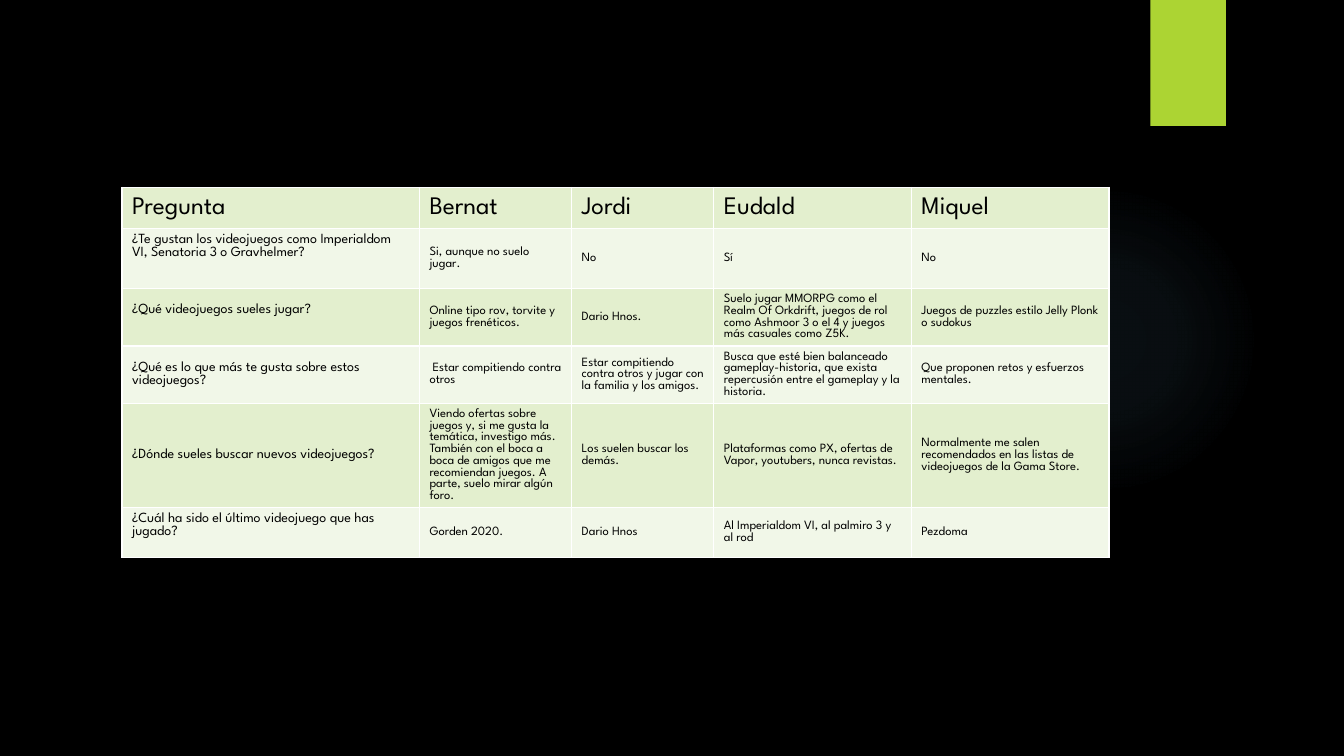
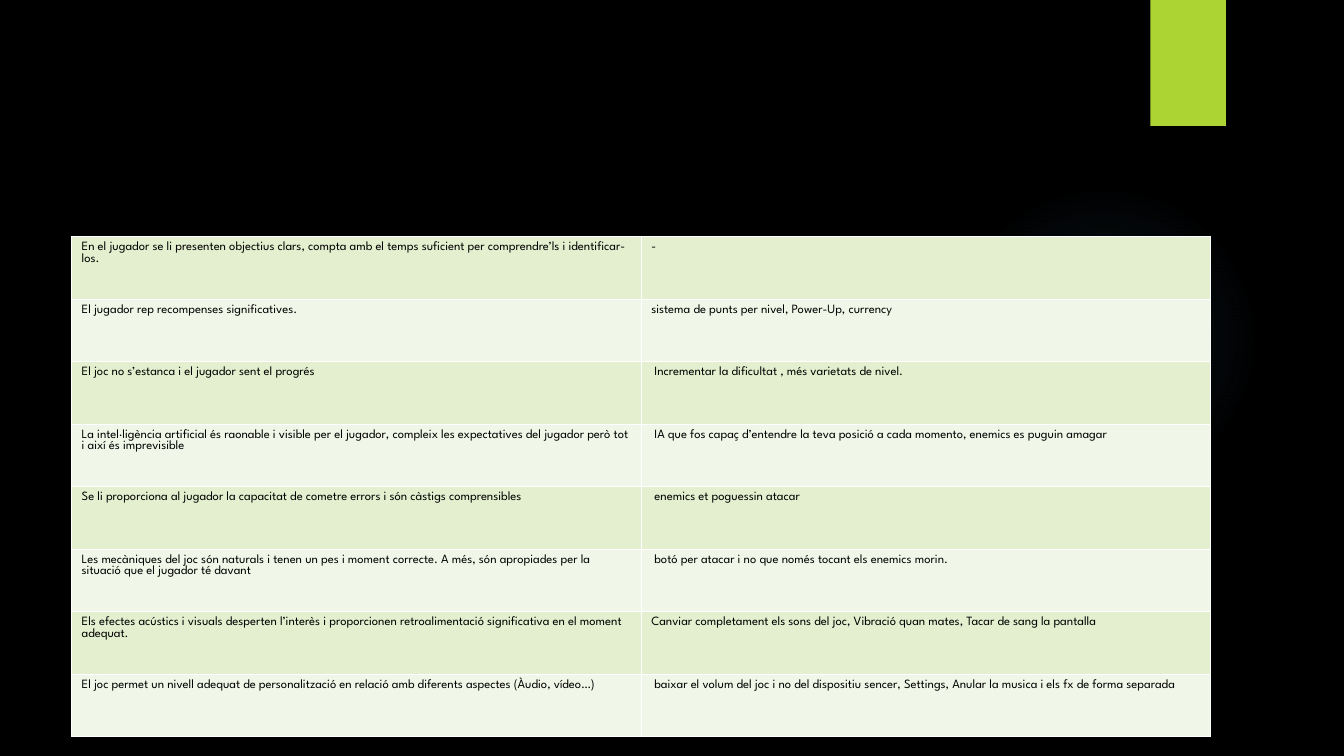
from dataclasses import dataclass

from lxml import etree
from pptx import Presentation
from pptx.dml.color import RGBColor
from pptx.enum.shapes import MSO_SHAPE
from pptx.enum.text import MSO_ANCHOR
from pptx.oxml import parse_xml
from pptx.oxml.ns import nsdecls
from pptx.presentation import Presentation as Deck
from pptx.shapes.autoshape import Shape
from pptx.slide import Slide
from pptx.table import _Cell
from pptx.util import Pt

RECT = MSO_SHAPE.RECTANGLE
OVAL = MSO_SHAPE.OVAL
TOP = MSO_ANCHOR.TOP
MIDDLE = MSO_ANCHOR.MIDDLE

SCALE = 9144
FONT = "League Spartan"
COLORS = {
    "back": "000000",
    "text": "000000",
    "tab": "ACD433",
    "glow": "7AC4F0",
    "dark": "E3EFCE",
    "light": "F1F7E8",
    "line": "FFFFFF",
}
STOPS = ((0, 7), (36, 6), (69, 0))
SIDES = ("lnL", "lnR", "lnT", "lnB")
PAD = 5


@dataclass(frozen=True)
class Box:
    left: int
    top: int
    width: int
    height: int


@dataclass(frozen=True)
class Style:
    size: int
    anchor: MSO_ANCHOR
    lift: int = 0


@dataclass(frozen=True)
class Row:
    height: int
    texts: tuple[str, ...]
    lead: Style
    rest: Style


@dataclass(frozen=True)
class Grid:
    left: int
    top: int
    widths: tuple[int, ...]
    rows: tuple[Row, ...]


GLOW = Box(941, 183, 308, 308)
TAB = Box(1141, 0, 75, 125)

HEAD = Style(18, MIDDLE)
REPLY = Style(9, MIDDLE)
NOTE = Style(9, TOP)


def ask(height: int, lift: int, *texts: str) -> Row:
    return Row(height, texts, Style(10, MIDDLE, lift), REPLY)


def pair(goal: str, idea: str) -> Row:
    return Row(62, (goal, idea), NOTE, NOTE)


SURVEY = Grid(121, 186, (295, 151, 141, 196, 196), (
    Row(41, ("Pregunta", "Bernat", "Jordi", "Eudald", "Miquel"), HEAD, HEAD),
    ask(
        58, 24,
        "¿Te gustan los videojuegos como Imperialdom VI, Senatoria 3 o Gravhelmer?",
        "Si, aunque no suelo jugar.",
        "No",
        "Sí",
        "No",
    ),
    ask(
        57, 15,
        "¿Qué videojuegos sueles jugar?",
        "Online tipo rov, torvite y juegos frenéticos.",
        "Dario Hnos.",
        "Suelo jugar MMORPG como el Realm Of Orkdrift, juegos de rol como "
        "Ashmoor 3 o el 4 y juegos más casuales como Z5K.",
        "Juegos de puzzles estilo Jelly Plonk o sudokus",
    ),
    ask(
        57, 0,
        "¿Qué es lo que más te gusta sobre estos videojuegos?",
        " Estar compitiendo contra otros",
        "Estar compitiendo contra otros y jugar con la familia y los amigos.",
        "Busca que esté bien balanceado gameplay-historia, que exista "
        "repercusión entre el gameplay y la historia.",
        "Que proponen retos y esfuerzos mentales.",
    ),
    ask(
        103, 0,
        "¿Dónde sueles buscar nuevos videojuegos?",
        "Viendo ofertas sobre juegos y, si me gusta la temática, investigo más. "
        "También con el boca a boca de amigos que me recomiendan juegos. "
        "A parte, suelo mirar algún foro.",
        "Los suelen buscar los demás.",
        "Plataformas como PX, ofertas de Vapor, youtubers, nunca revistas.",
        "Normalmente me salen recomendados en las listas de videojuegos de la "
        "Gama Store.",
    ),
    ask(
        49, 14,
        "¿Cuál ha sido el último videojuego que has jugado?",
        "Gorden 2020.",
        "Dario Hnos",
        "Al Imperialdom VI, al palmiro 3 y al rod",
        "Pezdoma",
    ),
))

GOALS = Grid(71, 235, (565, 565), (
    pair(
        "En el jugador se li presenten objectius clars, compta amb el temps "
        "suficient per comprendre’ls i identificar-los.",
        "-",
    ),
    pair(
        "El jugador rep recompenses significatives.",
        "sistema de punts per nivel, Power-Up, currency",
    ),
    pair(
        "El joc no s’estanca i el jugador sent el progrés",
        " Incrementar la dificultat , més varietats de nivel.",
    ),
    pair(
        "La intel·ligència artificial és raonable i visible per el jugador, "
        "compleix les expectatives del jugador però tot i així és imprevisible",
        " IA que fos capaç d’entendre la teva posició a cada momento, enemics "
        "es puguin amagar",
    ),
    pair(
        "Se li proporciona al jugador la capacitat de cometre errors i són "
        "càstigs comprensibles",
        " enemics et poguessin atacar",
    ),
    pair(
        "Les mecàniques del joc són naturals i tenen un pes i moment correcte. "
        "A més, són apropiades per la situació que el jugador té davant",
        " botó per atacar i no que només tocant els enemics morin.",
    ),
    pair(
        "Els efectes acústics i visuals desperten l’interès i proporcionen "
        "retroalimentació significativa en el moment adequat.",
        "Canviar completament els sons del joc, Vibració quan mates, Tacar de "
        "sang la pantalla",
    ),
    pair(
        "El joc permet un nivell adequat de personalització en relació amb "
        "diferents aspectes (Àudio, vídeo…)",
        " baixar el volum del joc i no del dispositiu sencer, Settings, Anular "
        "la musica i els fx de forma separada",
    ),
))


def px(length: int) -> int:
    return length * SCALE


def color(name: str) -> RGBColor:
    return RGBColor.from_string(COLORS[name])


def add_shape(slide: Slide, kind: MSO_SHAPE, box: Box, fill: str) -> Shape:
    shape = slide.shapes.add_shape(
        kind, px(box.left), px(box.top), px(box.width), px(box.height)
    )
    shape.shadow.inherit = False
    shape.fill.solid()
    shape.fill.fore_color.rgb = color(fill)
    shape.line.fill.background()
    return shape


def add_glow(slide: Slide) -> None:
    shape = add_shape(slide, OVAL, GLOW, "glow")
    stops = "".join(
        f'<a:gs pos="{spot * 1000}"><a:srgbClr val="{COLORS["glow"]}">'
        f'<a:alpha val="{alpha * 1000}"/></a:srgbClr></a:gs>'
        for spot, alpha in STOPS
    )
    fade = parse_xml(
        f'<a:gradFill {nsdecls("a")}><a:gsLst>{stops}</a:gsLst>'
        '<a:path path="circle">'
        '<a:fillToRect l="50000" t="50000" r="50000" b="50000"/>'
        "</a:path></a:gradFill>"
    )
    props = shape.element.spPr
    props.replace(props.find("{*}solidFill"), fade)


def add_lines(cell: _Cell) -> None:
    props: etree.ElementBase = cell._tc.get_or_add_tcPr()
    for spot, side in enumerate(SIDES):
        props.insert(spot, parse_xml(
            f'<a:{side} {nsdecls("a")} w="{Pt(1)}"><a:solidFill>'
            f'<a:srgbClr val="{COLORS["line"]}"/></a:solidFill></a:{side}>'
        ))


def fill_cell(cell: _Cell, text: str, style: Style, fill: str) -> None:
    cell.text = text
    cell.vertical_anchor = style.anchor
    cell.margin_bottom = px(PAD + style.lift)
    cell.fill.solid()
    cell.fill.fore_color.rgb = color(fill)
    font = cell.text_frame.paragraphs[0].font
    font.name = FONT
    font.size = Pt(style.size)
    font.color.rgb = color("text")
    add_lines(cell)


def add_grid(slide: Slide, grid: Grid) -> None:
    table = slide.shapes.add_table(
        len(grid.rows), len(grid.widths), px(grid.left), px(grid.top),
        px(sum(grid.widths)), px(sum(row.height for row in grid.rows)),
    ).table
    table.first_row = False
    table.horz_banding = False
    for column, width in zip(table.columns, grid.widths):
        column.width = px(width)
    for y, row in enumerate(grid.rows):
        table.rows[y].height = px(row.height)
        fill = "light" if y % 2 else "dark"
        for x, text in enumerate(row.texts):
            style = row.rest if x else row.lead
            fill_cell(table.cell(y, x), text, style, fill)


def add_slide(deck: Deck, grid: Grid) -> None:
    slide = deck.slides.add_slide(deck.slide_layouts[6])
    back = slide.background.fill
    back.solid()
    back.fore_color.rgb = color("back")
    add_glow(slide)
    add_shape(slide, RECT, TAB, "tab")
    add_grid(slide, grid)


def main() -> None:
    deck = Presentation()
    deck.slide_width = px(1333)
    deck.slide_height = px(750)
    for grid in (SURVEY, GOALS):
        add_slide(deck, grid)
    deck.save("out.pptx")


if __name__ == "__main__":
    main()
